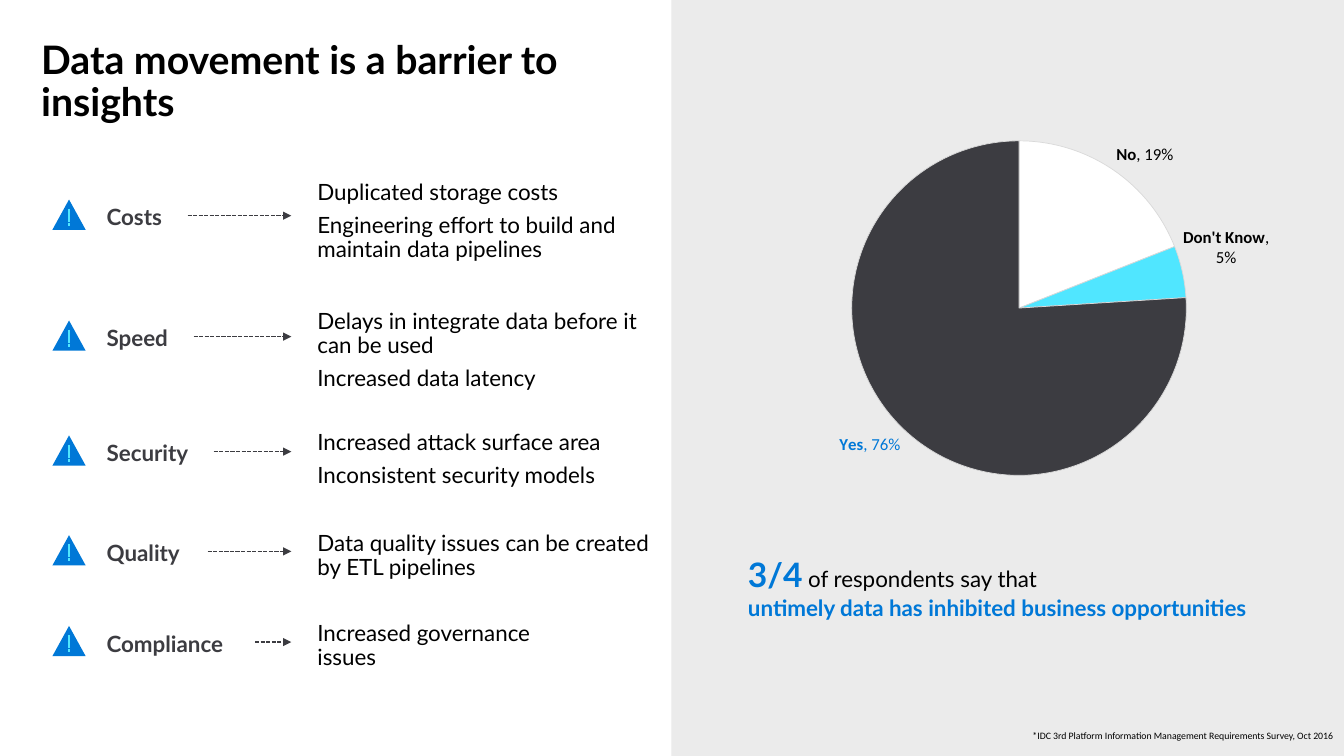
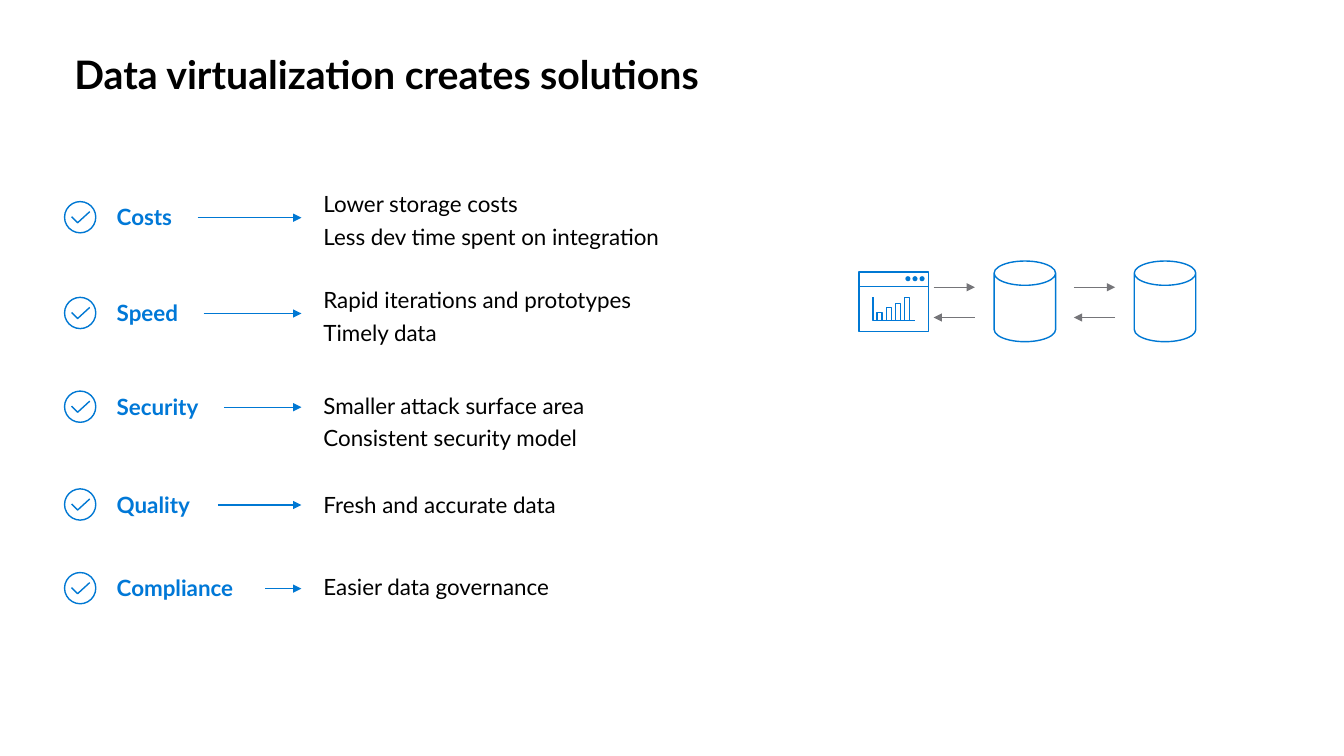
from dataclasses import dataclass
from lxml.etree import SubElement
from pptx import Presentation
from pptx.chart.data import CategoryChartData
from pptx.dml.color import RGBColor
from pptx.enum.chart import XL_CHART_TYPE, XL_LABEL_POSITION
from pptx.enum.dml import MSO_LINE
from pptx.enum.shapes import MSO_CONNECTOR, MSO_SHAPE
from pptx.enum.text import PP_ALIGN
from pptx.oxml import parse_xml
from pptx.oxml.ns import nsdecls, qn
from pptx.util import Inches, Pt


@dataclass(frozen=True)
class Theme:
    """Colours, fonts and type sizes shared by the slides."""
    black: str = "000000"
    white: str = "FFFFFF"
    dark: str = "3C3C41"
    gray: str = "757579"
    pale: str = "EBEBEB"
    rim: str = "D9D9D9"
    blue: str = "0078D7"
    line: str = "0078D3"
    cyan: str = "50E6FF"
    font: str = "Lato"
    plain: str = "Calibri"
    title: int = 28
    big: int = 24
    body: int = 16
    label: int = 12
    chart: int = 10
    note: int = 7


T = Theme()
STARTS = {"Costs": 0.9, "Speed": 0.96, "Security": 1.16, "Quality": 1.1, "Compliance": 1.57}


def rgb(code):
    """Turn a hex code into a colour."""
    return RGBColor.from_string(code)


def style(font, size, color, bold=False, name=T.font):
    """Set the values of one font."""
    font.size = Pt(size)
    font.name = name
    font.bold = bold
    font.color.rgb = rgb(color)


def write(slide, box, paras, gap=0, lead=None, align=None):
    """Add a text box whose paragraphs are lists of (text, style values)."""
    frame = slide.shapes.add_textbox(*map(Inches, box)).text_frame
    frame.word_wrap = True
    for i, runs in enumerate(paras):
        para = frame.paragraphs[0] if i == 0 else frame.add_paragraph()
        para.space_after = Pt(gap)
        para.line_spacing = lead
        para.alignment = align
        for text, *look in runs:
            for j, part in enumerate(text.split("\n")):
                if j:
                    para.add_line_break()
                run = para.add_run()
                run.text = part
                style(run.font, *look)


def paint(shape, fill=None, line=None):
    """Set the fill and outline of a shape, without shadow."""
    shape.shadow.inherit = False
    if fill:
        shape.fill.solid()
        shape.fill.fore_color.rgb = rgb(fill)
    else:
        shape.fill.background()
    if line:
        shape.line.color.rgb = rgb(line)
        shape.line.width = Pt(1)
    else:
        shape.line.fill.background()


def draw(shapes, kind, box, fill=None, line=None):
    """Add a preset shape."""
    shape = shapes.add_shape(kind, *map(Inches, box))
    paint(shape, fill, line)
    return shape


def trace(shapes, points, color):
    """Add an open outline through the points."""
    first, *rest = [tuple(map(Inches, point)) for point in points]
    form = shapes.build_freeform(*first)
    form.add_line_segments(rest, close=False)
    paint(form.convert_to_shape(), line=color)


def link(shapes, ends, color, width=1, head=False, dash=False):
    """Add a straight line, with an arrowhead or dashes if asked."""
    wire = shapes.add_connector(MSO_CONNECTOR.STRAIGHT, *map(Inches, ends))
    wire.line.color.rgb = rgb(color)
    wire.line.width = Pt(width)
    if dash:
        wire.line.dash_style = MSO_LINE.SQUARE_DOT
    props = wire._element.spPr
    if head:
        SubElement(props.find(qn("a:ln")), qn("a:tailEnd"), type="triangle")
    SubElement(props, qn("a:effectLst"))


def title(slide, box, text):
    """Add the slide title."""
    write(slide, box, [[(text, T.title, T.black, True)]], lead=0.9)


def alert(slide, x, y):
    """Draw a warning triangle left of a label, centred on y."""
    shapes = slide.shapes.add_group_shape().shapes
    left, wide = x - 0.44, 0.33
    draw(shapes, MSO_SHAPE.ISOSCELES_TRIANGLE, (left, y - 0.16, wide, 0.3), T.blue)
    mid = left + wide / 2
    for top, end in ((-0.07, 0.06), (0.07, 0.1)):
        link(shapes, (mid, y + top, mid, y + end), T.cyan, 1.25)


def check(slide, x, y):
    """Draw a ringed tick left of a label, centred on y."""
    shapes = slide.shapes.add_group_shape().shapes
    draw(shapes, MSO_SHAPE.OVAL, (x - 0.42, y - 0.16, 0.31, 0.31), line=T.line)
    trace(shapes, [(x - 0.35, y - 0.01), (x - 0.29, y + 0.05), (x - 0.17, y - 0.06)], T.line)


def listing(slide, x, left, rows, mark, color, stroke, lift, dash=False):
    """Place rows of mark, label, arrow and points."""
    for name, y, top, high, points in rows:
        mark(slide, x, y)
        write(slide, (x, y - lift, 2, 0.37), [[(name, T.body, color, True)]], gap=6)
        link(slide.shapes, (x + STARTS[name], y, x + 1.93, y), stroke, head=True, dash=dash)
        paras = [[(point, T.body, T.black)] for point in points]
        write(slide, (left, top, 3.76, high), paras, gap=6, lead=0.9)


def layout(spots, lead=""):
    """Make a manual chart layout."""
    parts = lead + "".join(f'<c:{key} val="{val}"/>' for key, val in spots.items())
    return parse_xml(
        f'<c:layout {nsdecls("c")}><c:manualLayout>{parts}</c:manualLayout></c:layout>')


def tag(point, name, value, ink):
    """Label one slice with its name in bold and its share."""
    para = point.data_label.text_frame.paragraphs[0]
    for text, bold in ((name, True), (f", {value:.0%}", False)):
        run = para.add_run()
        run.text = text
        style(run.font, T.label, ink, bold, T.plain)
    point.data_label.position = XL_LABEL_POSITION.OUTSIDE_END


def pie(slide, box):
    """Add the survey pie with its labels."""
    slices = [("No", 0.19, T.white, T.black),
              ("Don't Know", 0.05, T.cyan, T.black),
              ("Yes", 0.76, T.dark, T.blue)]
    data = CategoryChartData(number_format="0%")
    data.categories = [part[0] for part in slices]
    data.add_series("Series 1", [part[1] for part in slices])
    chart = slide.shapes.add_chart(XL_CHART_TYPE.PIE, *map(Inches, box), data).chart
    chart.has_title = False
    chart.has_legend = False
    style(chart.font, T.chart, T.black, name=T.plain)
    plot = chart.plots[0]
    plot.vary_by_categories = True
    series = plot.series[0]
    labels = series.data_labels
    style(labels.font, T.label, T.blue, name=T.plain)
    labels.number_format = "0%"
    labels.number_format_is_linked = False
    labels.position = XL_LABEL_POSITION.OUTSIDE_END
    labels.show_value = True
    for i, (name, value, fill, ink) in enumerate(slices):
        point = series.points[i]
        point.format.fill.solid()
        point.format.fill.fore_color.rgb = rgb(fill)
        point.format.line.color.rgb = rgb(T.rim)
        point.format.line.width = Pt(0.5)
        tag(point, name, value, ink)
    area = chart._chartSpace.chart.plotArea
    notes = area.find(".//" + qn("c:dLbls"))
    for flag in notes.iter(qn("c:showCatName")):
        flag.set("val", "1")
    for flag in list(notes.iter(qn("c:showBubbleSize"))):
        split = SubElement(flag.getparent(), qn("c:separator"))
        split.text = "\n"
        flag.addnext(split)
    notes.findall(qn("c:dLbl"))[1].insert(1, layout({"x": -0.01, "y": -0.005}))
    for old in area.findall(qn("c:layout")):
        area.remove(old)
    lead = '<c:layoutTarget val="inner"/><c:xMode val="edge"/><c:yMode val="edge"/>'
    area.insert(0, layout({"x": 0.056, "y": 0.119, "w": 0.762, "h": 0.763}, lead))


def survey(slide, x, y, w, h):
    """Fill the side panel with the pie, the finding and the source."""
    draw(slide.shapes, MSO_SHAPE.RECTANGLE, (x, y, w, h), T.pale)
    pie(slide, (x + 1.31, y + 0.88, 4.89, 4.35))
    write(slide, (x + 0.66, y + 5.45, 5.82, 0.77), [
        [("3/4", T.big, T.blue, True), (" ", T.body, T.blue, True),
         ("of respondents say that", T.body, T.black)],
        [("untimely data has inhibited business opportunities", T.body, T.blue, True)]])
    note = "*IDC 3rd Platform Information Management Requirements Survey, Oct 2016"
    write(slide, (x + 0.3, y + 7.2, 6.36, 0.21), [[(note, T.note, T.black, False, T.plain)]],
          gap=6, lead=0.9, align=PP_ALIGN.RIGHT)


def window(shapes, x, y):
    """Draw an app window holding a bar chart."""
    draw(shapes, MSO_SHAPE.RECTANGLE, (x, y, 0.69, 0.59), line=T.line)
    link(shapes, (x, y + 0.14, x + 0.69, y + 0.14), T.line)
    for i in range(3):
        draw(shapes, MSO_SHAPE.OVAL, (x + 0.46 + 0.07 * i, y + 0.04, 0.05, 0.05), T.line)
    base = y + 0.48
    trace(shapes, [(x + 0.14, y + 0.25), (x + 0.14, base), (x + 0.56, base)], T.blue)
    for i, high in enumerate((0.08, 0.13, 0.17, 0.23)):
        draw(shapes, MSO_SHAPE.RECTANGLE, (x + 0.18 + 0.09 * i, base - high, 0.05, high),
             line=T.blue)


def flow(slide, x, y):
    """Draw a window trading data with two stores."""
    shapes = slide.shapes.add_group_shape().shapes
    window(shapes, x, y + 0.11)
    for i in range(2):
        left = x + 0.74 + 1.39 * i
        right = left + 0.41
        link(shapes, (left, y + 0.26, right, y + 0.26), T.gray, head=True)
        link(shapes, (right, y + 0.56, left, y + 0.56), T.gray, head=True)
        can = draw(shapes, MSO_SHAPE.CAN, (left + 0.6, y, 0.61, 0.8), line=T.line)
        can.adjustments[0] = 0.395


def barrier(slide):
    """Build the slide on the problems."""
    survey(slide, 6.66, 0, 6.67, 7.5)
    title(slide, (0.31, 0.35, 5.39, 1.06), "Data movement is a barrier to insights")
    rows = [
        ("Costs", 2.14, 1.75, 0.91, ["Duplicated storage costs",
                                     "Engineering effort to build and maintain data pipelines"]),
        ("Speed", 3.34, 3.03, 0.91, ["Delays in integrate data before it can be used",
                                     "Increased data latency"]),
        ("Security", 4.48, 4.23, 0.67, ["Increased attack surface area",
                                        "Inconsistent security models"]),
        ("Quality", 5.47, 5.23, 0.59, ["Data quality issues can be created by ETL pipelines"]),
        ("Compliance", 6.37, 6.12, 0.59, ["Increased governance \nissues"]),
    ]
    listing(slide, 0.96, 3.05, rows, alert, T.dark, T.dark, 0.17, dash=True)


def answer(slide):
    """Build the slide on the solutions."""
    title(slide, (0.64, 0.5, 12.05, 0.54), "Data virtualization creates solutions")
    rows = [
        ("Costs", 2.16, 1.87, 0.67, ["Lower storage costs", "Less dev time spent on integration"]),
        ("Speed", 3.11, 2.82, 0.67, ["Rapid iterations and prototypes", "Timely data"]),
        ("Security", 4.04, 3.87, 0.67, ["Smaller attack surface area",
                                        "Consistent security model"]),
        ("Quality", 5.01, 4.85, 0.34, ["Fresh and accurate data"]),
        ("Compliance", 5.84, 5.67, 0.34, ["Easier data governance"]),
    ]
    listing(slide, 1.06, 3.11, rows, check, T.blue, T.line, 0.19)
    flow(slide, 8.52, 2.59)


def main():
    """Build and save the deck."""
    deck = Presentation()
    deck.slide_width = Inches(13.33)
    deck.slide_height = Inches(7.5)
    for build in (barrier, answer):
        build(deck.slides.add_slide(deck.slide_layouts[6]))
    deck.save("out.pptx")


if __name__ == "__main__":
    main()
